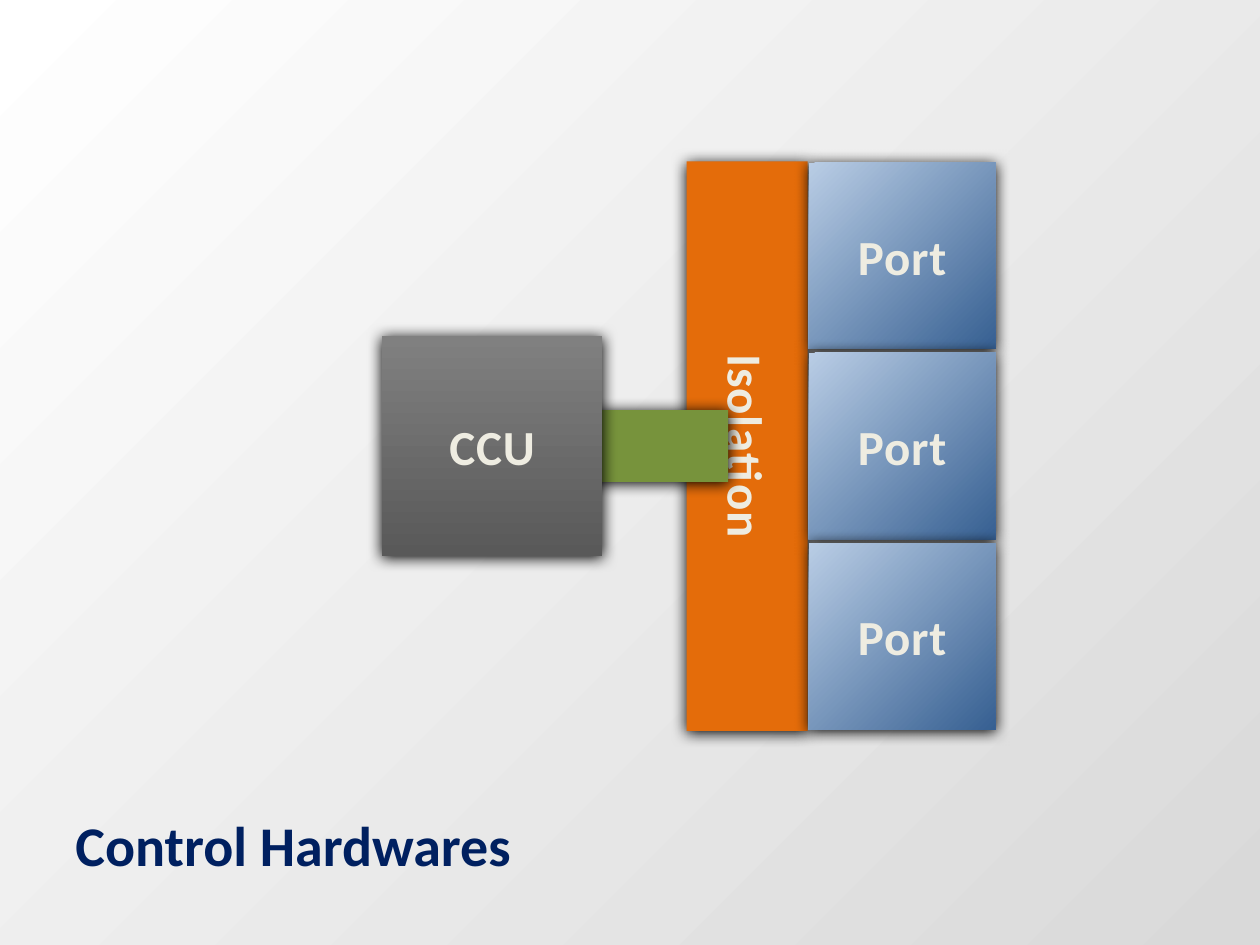
import pptx
import pptx.dml.color
import pptx.enum.shapes
import pptx.enum.text
import pptx.util
from lxml import etree

COLUMNS, ROWS = 100, 75
CELL = pptx.util.Inches(0.1)
PORT_COUNT, PORT_SIDE, PORT_PITCH = 3, 14.8, 15.1
CENTER_ROW = 35.4
CREAM = "EEECE1"
DRAWING_NS = "http://schemas.openxmlformats.org/drawingml/2006/main"


def color(hex_value):
    return pptx.dml.color.RGBColor.from_string(hex_value)


def cells(*lengths):
    return [round(length * CELL) for length in lengths]


def paint(fill, colors, angle=0):
    """Fill with one colour, or blend two at a clockwise angle."""
    if len(colors) == 1:
        fill.solid()
        fill.fore_color.rgb = color(colors[0])
        return
    fill.gradient()
    fill.gradient_angle = (360 - angle) % 360
    for stop, hex_value in zip(fill.gradient_stops, colors):
        stop.color.rgb = color(hex_value)


def add_shadow(shape):
    """Give the shape a soft black shadow just below it."""
    shape.shadow.inherit = False
    effects = shape._element.spPr.find(f"{{{DRAWING_NS}}}effectLst")
    shadow = etree.SubElement(
        effects, f"{{{DRAWING_NS}}}outerShdw",
        blurRad=str(pptx.util.Pt(8.5)), dist=str(pptx.util.Pt(1)),
        dir=str(90 * 60000), algn="tl", rotWithShape="0")
    etree.SubElement(shadow, f"{{{DRAWING_NS}}}srgbClr", val="000000")


def write(shape, text, size=28, hex_value=CREAM, align="CENTER",
          anchor="MIDDLE", spacing=0.5, vertical=False):
    frame = shape.text_frame
    frame.word_wrap = True
    frame.vertical_anchor = getattr(pptx.enum.text.MSO_ANCHOR, anchor)
    if vertical:
        frame._txBody.bodyPr.set("vert", "vert")
    paragraph = frame.paragraphs[0]
    paragraph.alignment = getattr(pptx.enum.text.PP_ALIGN, align)
    run = paragraph.add_run()
    run.text = text
    run.font.name = "Calibri"
    run.font.size = pptx.util.Pt(size)
    run.font.bold = True
    run.font.color.rgb = color(hex_value)
    if spacing:
        run._r.get_or_add_rPr().set("spc", str(round(spacing * 100)))


def add_block(group, left, top, width, height, colors, angle=0,
              label=None, **text_format):
    block = group.shapes.add_shape(
        pptx.enum.shapes.MSO_SHAPE.RECTANGLE, *cells(left, top, width, height))
    paint(block.fill, colors, angle)
    block.line.fill.background()
    add_shadow(block)
    if label:
        write(block, label, **text_format)


def add_port_bank(slide):
    bank = slide.shapes.add_group_shape()
    add_block(bank, 54.5, 12.8, 9.6, 45.2, ["E46C0A"],
              label="Isolation", vertical=True)
    for index in range(PORT_COUNT):
        add_block(bank, 64.2, 12.9 + index * PORT_PITCH, PORT_SIDE, PORT_SIDE,
                  ["B9CDE5", "376092"], angle=45, label="Port")


def add_control_unit(slide):
    unit = slide.shapes.add_group_shape()
    for left, width, height, colors, label in (
            (45, 12.8, 5.7, ["77933C"], None),
            (30.3, 17.5, 17.5, ["808080", "595959"], "CCU")):
        add_block(unit, left, CENTER_ROW - height / 2, width, height, colors,
                  angle=90, label=label)


def main():
    deck = pptx.Presentation()
    deck.slide_width, deck.slide_height = cells(COLUMNS, ROWS)
    slide = deck.slides.add_slide(deck.slide_layouts[6])
    paint(slide.background.fill, ["FFFFFF", "D9D9D9"], angle=45)
    title = slide.shapes.add_textbox(*cells(5, 63.8, 37.9, 5.9))
    write(title, "Control Hardwares", size=32, hex_value="002060",
          align="LEFT", anchor="TOP", spacing=0)
    add_port_bank(slide)
    add_control_unit(slide)
    deck.save("out.pptx")


if __name__ == "__main__":
    main()
